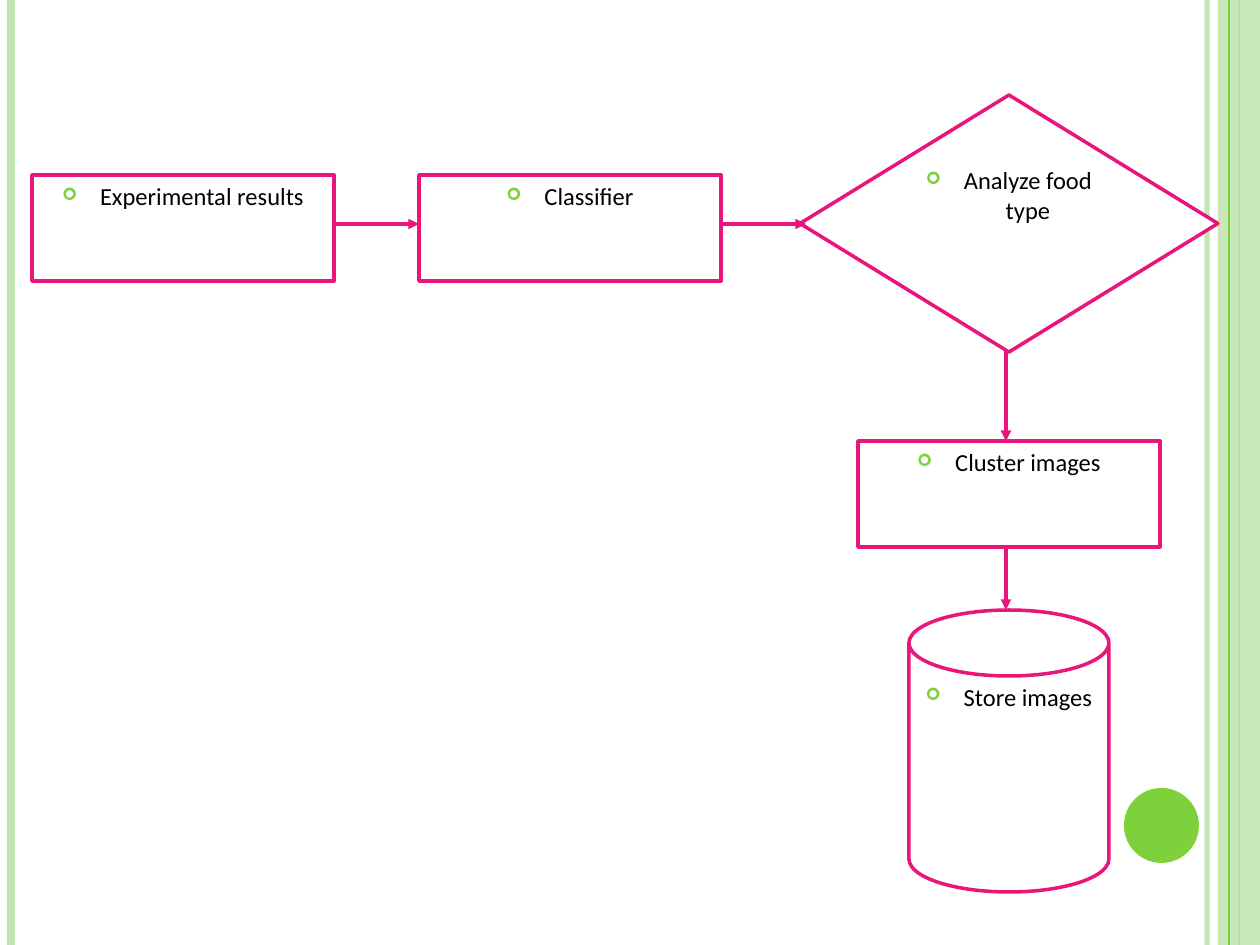
from lxml import etree
from pptx import Presentation
from pptx.dml.color import RGBColor
from pptx.enum.shapes import MSO_CONNECTOR, MSO_SHAPE
from pptx.enum.text import MSO_ANCHOR, PP_ALIGN
from pptx.oxml.ns import qn
from pptx.util import Pt

RECTANGLE, DECISION = MSO_SHAPE.RECTANGLE, MSO_SHAPE.FLOWCHART_DECISION
CAN, OVAL = MSO_SHAPE.CAN, MSO_SHAPE.OVAL
STRAIGHT, CENTER, TOP = MSO_CONNECTOR.STRAIGHT, PP_ALIGN.CENTER, MSO_ANCHOR.TOP

PAGE_WIDTH, PAGE_HEIGHT = 1260, 945
GREEN, PALE_GREEN, PINK, WHITE, BLACK = "7FD13B", "C0E5AF", "EA157A", "FFFFFF", "000000"
INDENT = 38

BACK_STRIPES = [(1207, PALE_GREEN, 3, 93), (11, PALE_GREEN, 4.5, 100), (1239, GREEN, 1.5, 100)]
FRONT_STRIPE = (1229, GREEN, 0.75, 100)
SIDE_BAND = (1218, 0, 42, PAGE_HEIGHT)
DOT = (1124, 788, 75, 75)

BOX_SIZE = (302, 106)
STEPS = [
    ("Experimental results", RECTANGLE, (32, 175, *BOX_SIZE)),
    ("Classifier", RECTANGLE, (419, 175, *BOX_SIZE)),
    ("Cluster images", RECTANGLE, (858, 441, *BOX_SIZE)),
    ("Analyze food type", DECISION, (800, 95, 418, 257)),
    ("Store images", CAN, (909, 610, 200, 282)),
]
ARROWS = [
    (335, 224, 419, 224),
    (722, 224, 806, 224),
    (1006, 351, 1006, 441),
    (1006, 547, 1006, 610),
]


def px(length):
    """Turn pixels into EMU."""
    return round(length * 914400 / 126)


def color(hex_text):
    """Turn a hex string into a colour."""
    return RGBColor.from_string(hex_text)


def set_opacity(properties, percent):
    """Set the opacity of the first solid colour found in the properties."""
    solid = properties.find(".//" + qn("a:srgbClr"))
    etree.SubElement(solid, qn("a:alpha"), val=str(percent * 1000))


def add_line(page, ends, hex_text, width, opacity=100, arrow=False):
    """Draw a straight line, with an arrowhead if asked."""
    line = page.shapes.add_connector(STRAIGHT, *map(px, ends))
    line.line.color.rgb = color(hex_text)
    line.line.width = Pt(width)
    properties = line._element.spPr
    if opacity < 100:
        set_opacity(properties, opacity)
    if arrow:
        etree.SubElement(properties.find(qn("a:ln")), qn("a:tailEnd"), type="triangle")
    etree.SubElement(properties, qn("a:effectLst"))


def add_stripe(page, x, hex_text, width, opacity):
    """Draw a stripe down the whole page."""
    add_line(page, (x, 0, x, PAGE_HEIGHT), hex_text, width, opacity)


def add_filled(page, kind, place, hex_text):
    """Draw a flat shape without an outline."""
    shape = page.shapes.add_shape(kind, *map(px, place))
    shape.shadow.inherit = False
    shape.fill.solid()
    shape.fill.fore_color.rgb = color(hex_text)
    shape.line.fill.background()
    return shape


def add_bullet(para):
    """Give a paragraph a bold green ring as its bullet."""
    properties = para._p.get_or_add_pPr()
    properties.set("marL", str(px(INDENT)))
    properties.set("indent", str(-px(INDENT)))
    tint = etree.SubElement(properties, qn("a:buClr"))
    etree.SubElement(tint, qn("a:srgbClr"), val=GREEN)
    etree.SubElement(properties, qn("a:buSzPct"), val="70000")
    etree.SubElement(properties, qn("a:buFont"), typeface="Wingdings", charset="2")
    etree.SubElement(properties, qn("a:buChar"), char="¢")


def add_step(page, text, kind, place):
    """Draw one outlined step of the flow with its label."""
    step = add_filled(page, kind, place, WHITE)
    step.line.color.rgb = color(PINK)
    step.line.width = Pt(2)
    if kind == CAN:
        step.adjustments[0] = 0.33
    frame = step.text_frame
    frame.word_wrap = True
    frame.vertical_anchor = TOP
    para = frame.paragraphs[0]
    para.text = text
    para.alignment = CENTER
    para.space_after = Pt(10)
    add_bullet(para)
    font = para.runs[0].font
    font.name, font.size = "Calibri", Pt(14)
    font.color.rgb = color(BLACK)


def main():
    """Build the flow chart slide."""
    deck = Presentation()
    deck.slide_width, deck.slide_height = px(PAGE_WIDTH), px(PAGE_HEIGHT)
    page = deck.slides.add_slide(deck.slide_layouts[6])
    for stripe in BACK_STRIPES:
        add_stripe(page, *stripe)
    band = add_filled(page, RECTANGLE, SIDE_BAND, PALE_GREEN)
    set_opacity(band._element.spPr, 87)
    add_stripe(page, *FRONT_STRIPE)
    add_filled(page, OVAL, DOT, GREEN)
    for step in STEPS:
        add_step(page, *step)
    for ends in ARROWS:
        add_line(page, ends, PINK, 2, arrow=True)
    deck.save("out.pptx")


if __name__ == "__main__":
    main()
